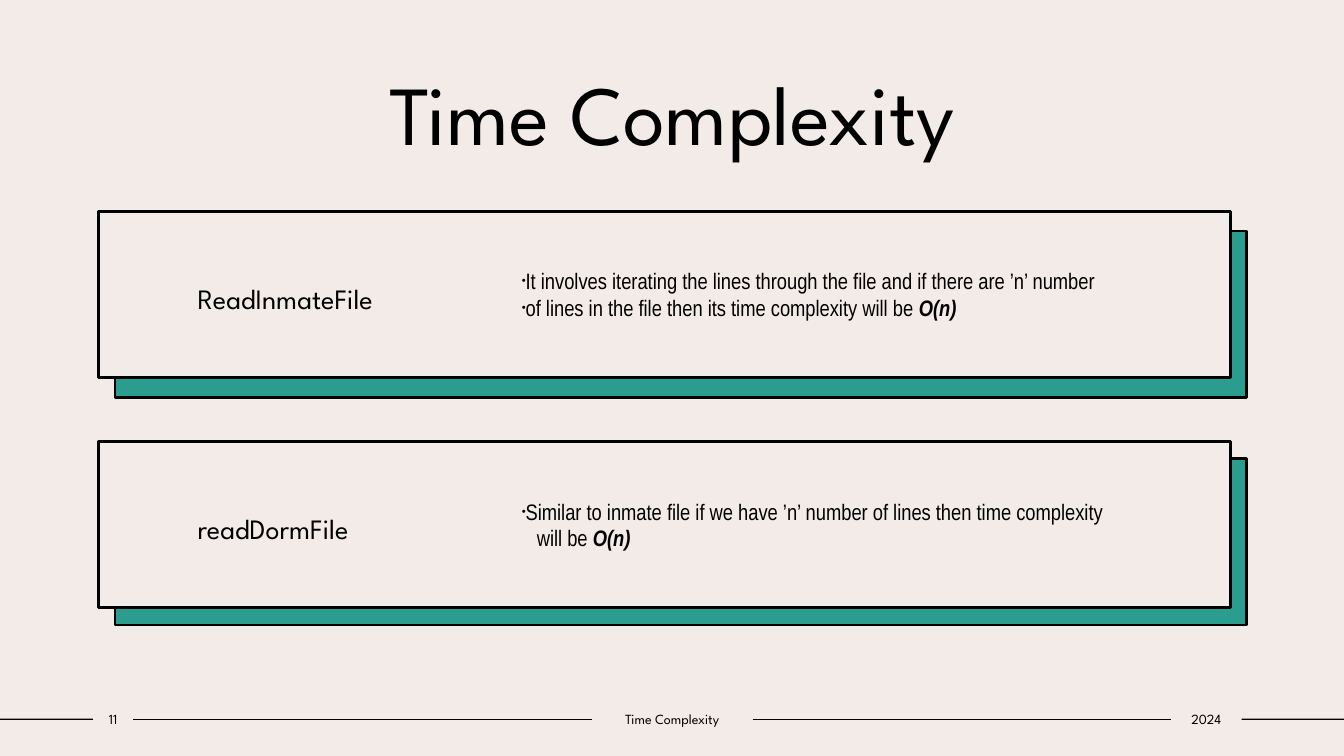
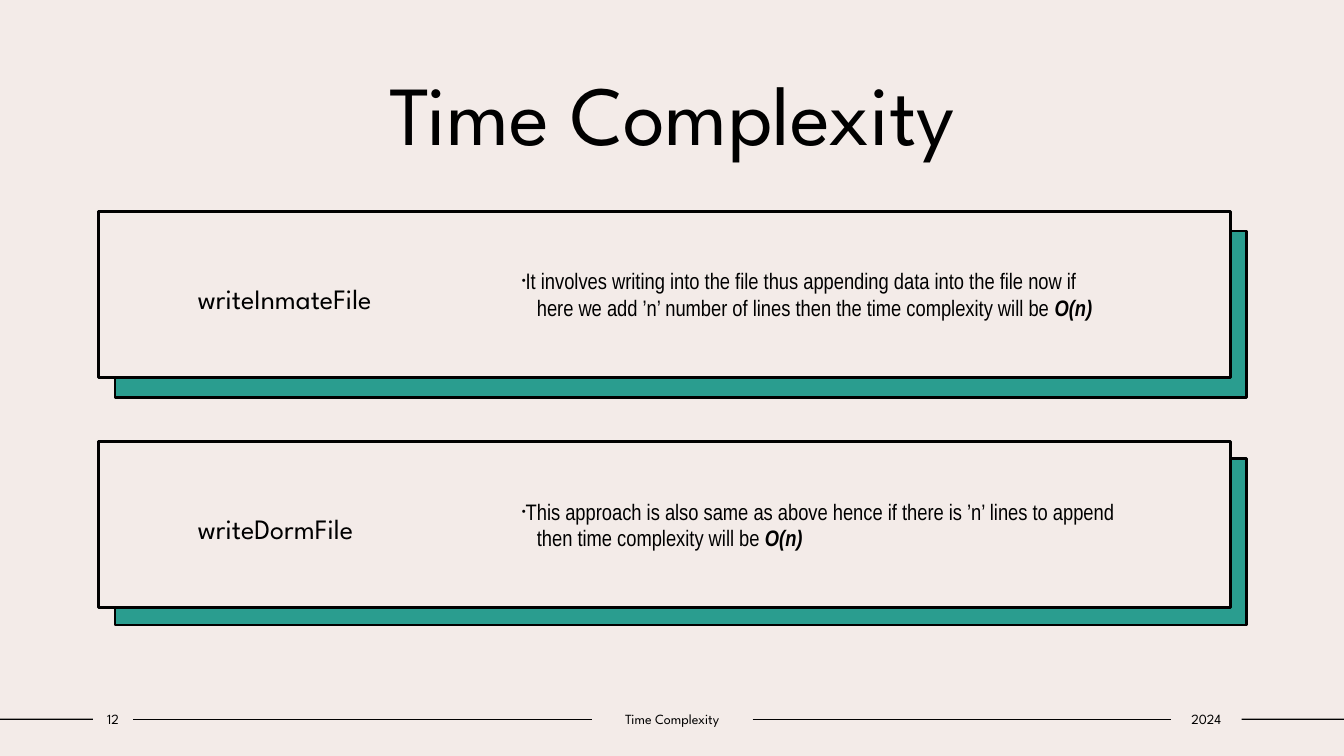
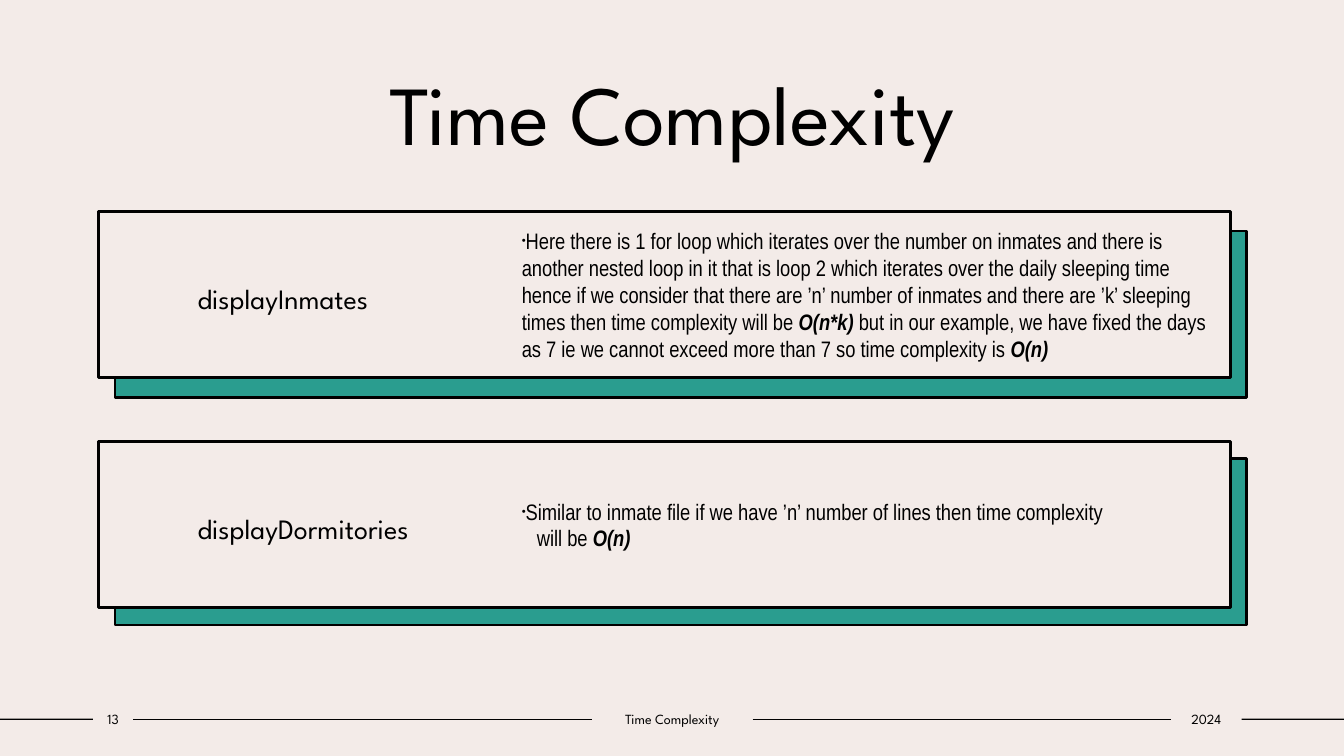
"""Build three time complexity slides with framed cards and a ruled footer."""
from pptx import Presentation
from pptx.dml.color import RGBColor
from pptx.enum.shapes import MSO_CONNECTOR as CONN, MSO_SHAPE as SHAPE
from pptx.enum.text import MSO_ANCHOR as ANCHOR, PP_ALIGN as ALIGN
from pptx.oxml.ns import qn
from pptx.util import Cm, Pt
from lxml.etree import SubElement

BLACK, CREAM, TEAL = "000000", "F3EBE8", "2A9D8F"
HEAD, BODY = "League Spartan", "Arial Narrow"
WIDTH, FOOT_TOP, FOOT_HEIGHT = 33.87, 17.78, 0.69
FOOT_MID = FOOT_TOP + FOOT_HEIGHT / 2
CARD_TOPS, SHADOW_TOPS = (5.33, 11.13), (5.82, 11.56)
CARD_WIDTH, CARD_HEIGHT = 28.52, 4.19
SIMILAR = [
    (True, "Similar to inmate file if we have ’n’ number of lines then time complexity"),
    (False, "will be |O(n)"),
]
SLIDES = [
    ("11", [
        ("ReadInmateFile", [
            (True, "It involves iterating the lines through the file and if there are ’n’ number"),
            (True, "of lines in the file then its time complexity will be |O(n)"),
        ]),
        ("readDormFile", SIMILAR),
    ]),
    ("12", [
        ("writeInmateFile", [
            (True, "It involves writing into the file thus appending data into the file now if"),
            (False, "here we add ’n’ number of lines then the time complexity will be |O(n)"),
        ]),
        ("writeDormFile", [
            (True, "This approach is also same as above hence if there is ’n’ lines to append"),
            (False, "then time complexity will be |O(n)"),
        ]),
    ]),
    ("13", [
        ("displayInmates", [
            (True, "Here there is 1 for loop which iterates over the number on inmates and there is "
                   "another nested loop in it that is loop 2 which iterates over the daily sleeping "
                   "time hence if we consider that there are ’n’ number of inmates and there are ’k’ "
                   "sleeping times then time complexity will be |O(n*k) |but in our example, we have "
                   "fixed the days as 7 ie we cannot exceed more than 7 so time complexity is |O(n)"),
        ]),
        ("displayDormitories", SIMILAR),
    ]),
]


def color(value):
    return RGBColor.from_string(value)


def write(sp, texts, font, size, frame, para):
    tf = sp.text_frame
    for key, value in {"word_wrap": True, **frame}.items():
        setattr(tf, key, value)
    for i, text in enumerate(texts):
        p = tf.add_paragraph() if i else tf.paragraphs[0]
        for key, value in para.items():
            setattr(p, key, value)
        for j, part in enumerate(text.split("|")):
            r = p.add_run()
            r.text = part
            strong = j % 2 == 1
            look = {"name": font, "size": Pt(size), "bold": strong, "italic": strong}
            for key, value in look.items():
                setattr(r.font, key, value)
            r.font.color.rgb = color(BLACK)
    return tf.paragraphs


MIDDLE = {"vertical_anchor": ANCHOR.MIDDLE}
CARD_FRAME = {**MIDDLE, "margin_left": Cm(2.49), "margin_right": Cm(18.03)}
FOOT_FRAME = {**MIDDLE, "margin_left": 0, "margin_right": 0}
CENTER = {"alignment": ALIGN.CENTER}

prs = Presentation()
prs.slide_width, prs.slide_height = Cm(WIDTH), Cm(19.05)
fill = prs.slide_master.background.fill
fill.solid()
fill.fore_color.rgb = color(CREAM)

for number, cards in SLIDES:
    s = prs.slides.add_slide(prs.slide_layouts[6])

    title = s.shapes.add_textbox(Cm(3.18), Cm(1.42), Cm(27.53), Cm(2.82))
    write(title, ["Time Complexity"], HEAD, 60, {}, CENTER)

    for (name, notes), card_top, shadow_top in zip(cards, CARD_TOPS, SHADOW_TOPS):
        for left, top, tone in ((2.9, shadow_top, TEAL), (2.49, card_top, CREAM)):
            sp = s.shapes.add_shape(SHAPE.RECTANGLE, Cm(left), Cm(top),
                                    Cm(CARD_WIDTH), Cm(CARD_HEIGHT))
            sp.shadow.inherit = False
            sp.fill.solid()
            sp.fill.fore_color.rgb = color(tone)
            sp.line.color.rgb = color(BLACK)
            sp.line.width = Pt(2)
        write(sp, [name], HEAD, 20, CARD_FRAME,
              {"alignment": ALIGN.LEFT, "line_spacing": 1.2})

        note = s.shapes.add_textbox(Cm(12.9), Cm(card_top + 0.25), Cm(17.81), Cm(3.68))
        paragraphs = write(note, [text for _, text in notes], BODY, 16, MIDDLE, {})
        for p, (bulleted, _) in zip(paragraphs, notes):
            pPr = p._p.get_or_add_pPr()
            pPr.set("marL", str(0 if bulleted else Cm(0.38)))
            pPr.set("indent", str(Cm(-0.38) if bulleted else 0))
            if bulleted:
                SubElement(pPr, qn("a:buSzPct")).set("val", "50000")
                SubElement(pPr, qn("a:buFont")).set("typeface", "Arial")
                SubElement(pPr, qn("a:buChar")).set("char", "•")

    footers = []
    for left, width, text in ((2.34, 1.02, number), (14.91, 4.06, "Time Complexity"),
                              (29.51, 1.78, "2024")):
        sp = s.shapes.add_textbox(Cm(left), Cm(FOOT_TOP), Cm(width), Cm(FOOT_HEIGHT))
        write(sp, [text], HEAD, 10, FOOT_FRAME, CENTER)
        footers.append(sp)

    for before, after in zip([None, *footers], [*footers, None]):
        rule = s.shapes.add_connector(CONN.STRAIGHT, 0, Cm(FOOT_MID), Cm(WIDTH), Cm(FOOT_MID))
        if before:
            rule.begin_connect(before, 3)
        if after:
            rule.end_connect(after, 1)
        rule.line.color.rgb = color(BLACK)
        rule.line.width = Pt(1)
        SubElement(rule._element.spPr, qn("a:effectLst"))

prs.save("out.pptx")
